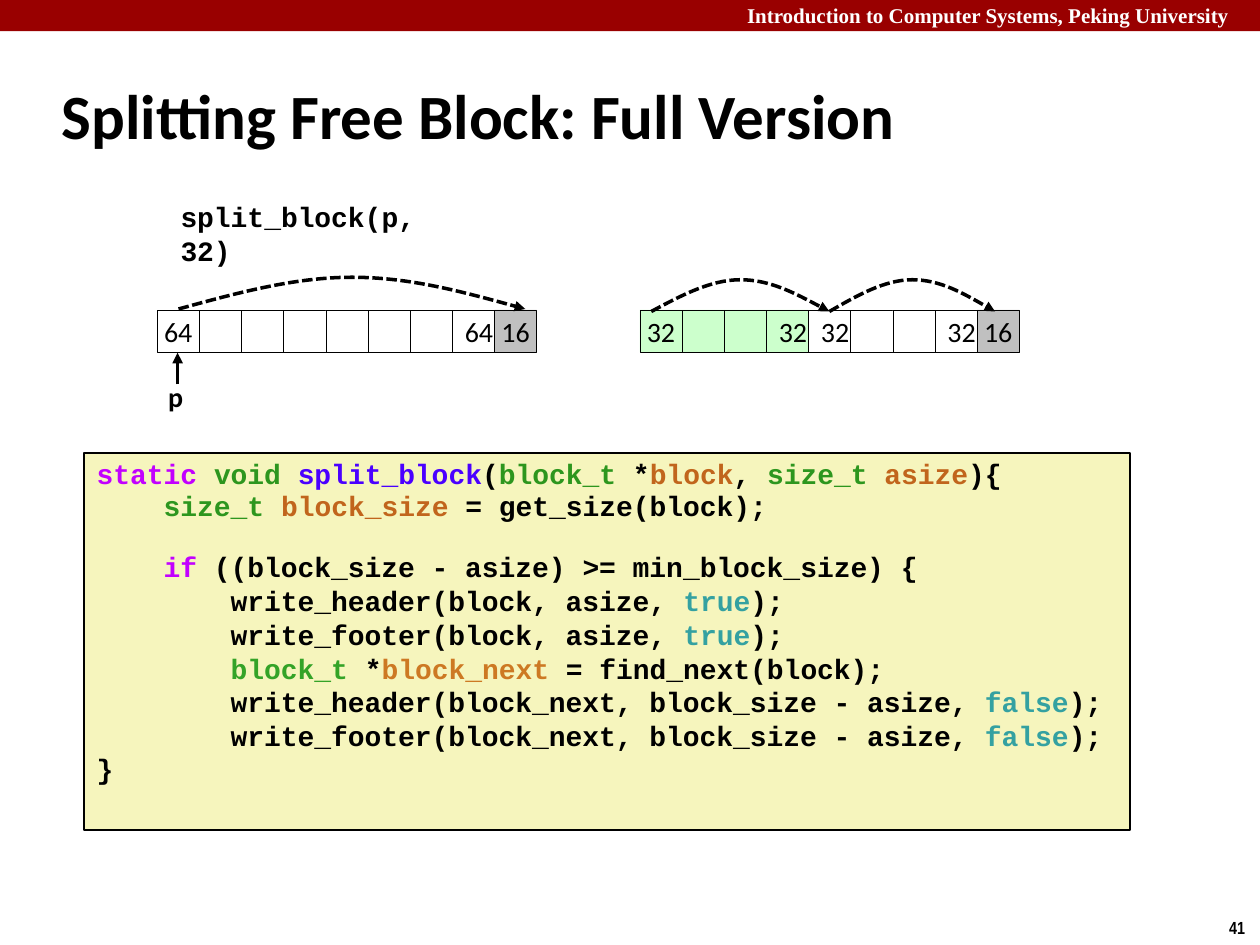
from dataclasses import dataclass

from lxml.etree import SubElement
from pptx import Presentation
from pptx.dml.color import RGBColor
from pptx.enum.dml import MSO_LINE
from pptx.enum.shapes import MSO_CONNECTOR, MSO_SHAPE
from pptx.enum.text import MSO_ANCHOR, MSO_AUTO_SIZE, PP_ALIGN
from pptx.oxml.ns import qn
from pptx.util import Cm, Pt


@dataclass(frozen=True)
class Theme:
    black: str = "000000"
    white: str = "FFFFFF"
    banner: str = "990000"
    allocated: str = "CCFFCC"
    next_block: str = "C0C0C0"
    code_fill: str = "F6F5BD"
    keyword: str = "C200FF"
    datatype: str = "2D961E"
    local_type: str = "34A327"
    function: str = "4A00FF"
    variable: str = "C1651C"
    local_variable: str = "CD7923"
    literal: str = "34A1A1"
    body_font: str = "Calibri"
    code_font: str = "Courier New"
    banner_font: str = "Times New Roman"
    number_font: str = "Arial Narrow"
    title_size: int = 36
    body_size: int = 16
    banner_size: int = 12
    number_size: int = 10


THEME = Theme()
CELL = 0.85
ROW_TOP = 6.25

CODE = [
    [("static ", THEME.keyword), ("void ", THEME.datatype), ("split_block", THEME.function),
     ("(", THEME.black), ("block_t", THEME.datatype), (" *", THEME.black),
     ("block", THEME.variable), (", ", THEME.black), ("size_t ", THEME.datatype),
     ("asize", THEME.variable), ("){", THEME.black)],
    [("    size_t ", THEME.datatype), ("block_size", THEME.variable),
     (" = get_size(block);", THEME.black)],
    [("    if", THEME.keyword), (" ((block_size - asize) >= min_block_size) {", THEME.black)],
    [("        write_header(block, asize, ", THEME.black), ("true", THEME.literal),
     (");", THEME.black)],
    [("        write_footer(block, asize, ", THEME.black), ("true", THEME.literal),
     (");", THEME.black)],
    [("        block_t", THEME.local_type), (" *", THEME.black),
     ("block_next", THEME.local_variable), (" = find_next(block);", THEME.black)],
    [("        write_header(block_next, block_size - asize, ", THEME.black),
     ("false", THEME.literal), (");", THEME.black)],
    [("        write_footer(block_next, block_size - asize, ", THEME.black),
     ("false", THEME.literal), (");", THEME.black)],
    [("}", THEME.black)],
]


def add_text(para, text, font=THEME.body_font, size=THEME.body_size, color=THEME.black, bold=False):
    span = para.add_run()
    span.text = text
    span.font.name = font
    span.font.size = Pt(size)
    span.font.bold = bold
    span.font.color.rgb = RGBColor.from_string(color)


class SlideBuilder:
    def __init__(self, page, theme):
        self.page = page
        self.theme = theme

    def title(self, text, left, top, width, height):
        box = self.page.shapes.title
        box.left, box.top, box.width, box.height = map(Cm, (left, top, width, height))
        box.text_frame.auto_size = MSO_AUTO_SIZE.NONE
        box.text_frame.vertical_anchor = MSO_ANCHOR.MIDDLE
        para = box.text_frame.paragraphs[0]
        para.alignment = PP_ALIGN.LEFT
        add_text(para, text, size=self.theme.title_size, bold=True)

    def label(self, text, left, top, width, height, **text_format):
        box = self.page.shapes.add_textbox(*map(Cm, (left, top, width, height)))
        box.text_frame.word_wrap = False
        box.text_frame.vertical_anchor = MSO_ANCHOR.MIDDLE
        add_text(box.text_frame.paragraphs[0], text, bold=True, **text_format)

    def rectangle(self, left, top, width, height, fill, line_width=None):
        box = self.page.shapes.add_shape(MSO_SHAPE.RECTANGLE, *map(Cm, (left, top, width, height)))
        box.shadow.inherit = False
        box.fill.solid()
        box.fill.fore_color.rgb = RGBColor.from_string(fill)
        if line_width is None:
            box.line.fill.background()
        else:
            box.line.width = Pt(line_width)
            box.line.color.rgb = RGBColor.from_string(self.theme.black)
        return box

    def cell_row(self, left, fills, texts):
        """Draw adjoining memory words; headers are centred, footers start at the left inset."""
        for index, fill in enumerate(fills):
            box = self.rectangle(left + index * CELL, ROW_TOP, CELL, CELL, fill, 0.25)
            if index in texts:
                text, alignment = texts[index]
                box.text_frame.word_wrap = False
                box.text_frame.vertical_anchor = MSO_ANCHOR.MIDDLE
                para = box.text_frame.paragraphs[0]
                para.alignment = alignment
                add_text(para, text)

    def arrow_style(self, shape):
        shape.line.width = Pt(2)
        shape.line.color.rgb = RGBColor.from_string(self.theme.black)
        SubElement(shape.line._get_or_add_ln(), qn("a:tailEnd"), type="triangle")

    def arrow(self, start, end):
        line = self.page.shapes.add_connector(MSO_CONNECTOR.STRAIGHT, *map(Cm, start + end))
        self.arrow_style(line)
        SubElement(line._element.spPr, qn("a:effectLst"))

    def arc(self, start, end, base, height=0.64):
        """Draw a dashed arch of two cubic curves that ends in an arrowhead."""
        span, top = end - start, base - height
        points = [(start + span * part, y) for part, y in (
            (1 / 6, base - height / 2), (1 / 3, top), (1 / 2, top),
            (2 / 3, top), (5 / 6, base - height / 2), (1, base))]
        builder = self.page.shapes.build_freeform(Cm(start), Cm(base))
        builder.add_line_segments([(Cm(x), Cm(y)) for x, y in points], close=False)
        shape = builder.convert_to_shape()
        outline = next(shape._element.iter(qn("a:path")))
        segments = outline.findall(qn("a:lnTo"))
        for first in (0, 3):
            curve = SubElement(outline, qn("a:cubicBezTo"))
            for segment in segments[first:first + 3]:
                curve.append(segment[0])
                outline.remove(segment)
        shape.shadow.inherit = False
        shape.fill.background()
        shape.line.dash_style = MSO_LINE.SQUARE_DOT
        self.arrow_style(shape)

    def code_block(self, lines, left, top, width, height):
        box = self.rectangle(left, top, width, height, self.theme.code_fill, 1)
        frame = box.text_frame
        frame.word_wrap = True
        frame.vertical_anchor = MSO_ANCHOR.TOP
        for index, line in enumerate(lines):
            para = frame.add_paragraph() if index else frame.paragraphs[0]
            para.alignment = PP_ALIGN.LEFT
            if index < 3:
                para.line_spacing = 0.94
            if index == 2:
                para.space_before = Pt(17)
            for text, color in line:
                add_text(para, text, font=self.theme.code_font, color=color, bold=True)


def main():
    deck = Presentation()
    deck.slide_width, deck.slide_height = Cm(25.4), Cm(19.05)
    page = deck.slides.add_slide(deck.slide_layouts[5])
    slide = SlideBuilder(page, THEME)

    slide.rectangle(0, 0, 25.4, 0.63, THEME.banner)
    slide.label("Introduction to Computer Systems, Peking University", 14.81, 0, 10.5, 0.63,
                font=THEME.banner_font, size=THEME.banner_size, color=THEME.white)
    slide.label("41", 24.53, 18.36, 0.87, 0.69, font=THEME.number_font, size=THEME.number_size)
    slide.title("Splitting Free Block: Full Version", 0.99, 1.24, 21.08, 2.11)

    header, footer = PP_ALIGN.CENTER, PP_ALIGN.LEFT
    slide.cell_row(3.17, [THEME.white] * 8 + [THEME.next_block],
                   {0: ("64", header), 7: ("64", footer), 8: ("16", header)})
    slide.cell_row(12.9, [THEME.allocated] * 4 + [THEME.white] * 4 + [THEME.next_block],
                   {0: ("32", header), 3: ("32", footer), 4: ("32", footer),
                    7: ("32", footer), 8: ("16", header)})
    slide.arc(3.6, 10.59, 6.23)
    slide.arc(13.13, 16.72, 6.28)
    slide.arc(16.72, 20.06, 6.28)
    slide.arrow((3.58, 7.75), (3.58, 7.11))
    slide.label("p", 3.14, 7.52, 0.82, 0.94)
    slide.label("split_block(p, 32)", 3.39, 4.27, 6.58, 0.86, font=THEME.code_font)
    slide.code_block(CODE, 1.7, 9.14, 21.08, 7.59)

    deck.save("out.pptx")


if __name__ == "__main__":
    main()
